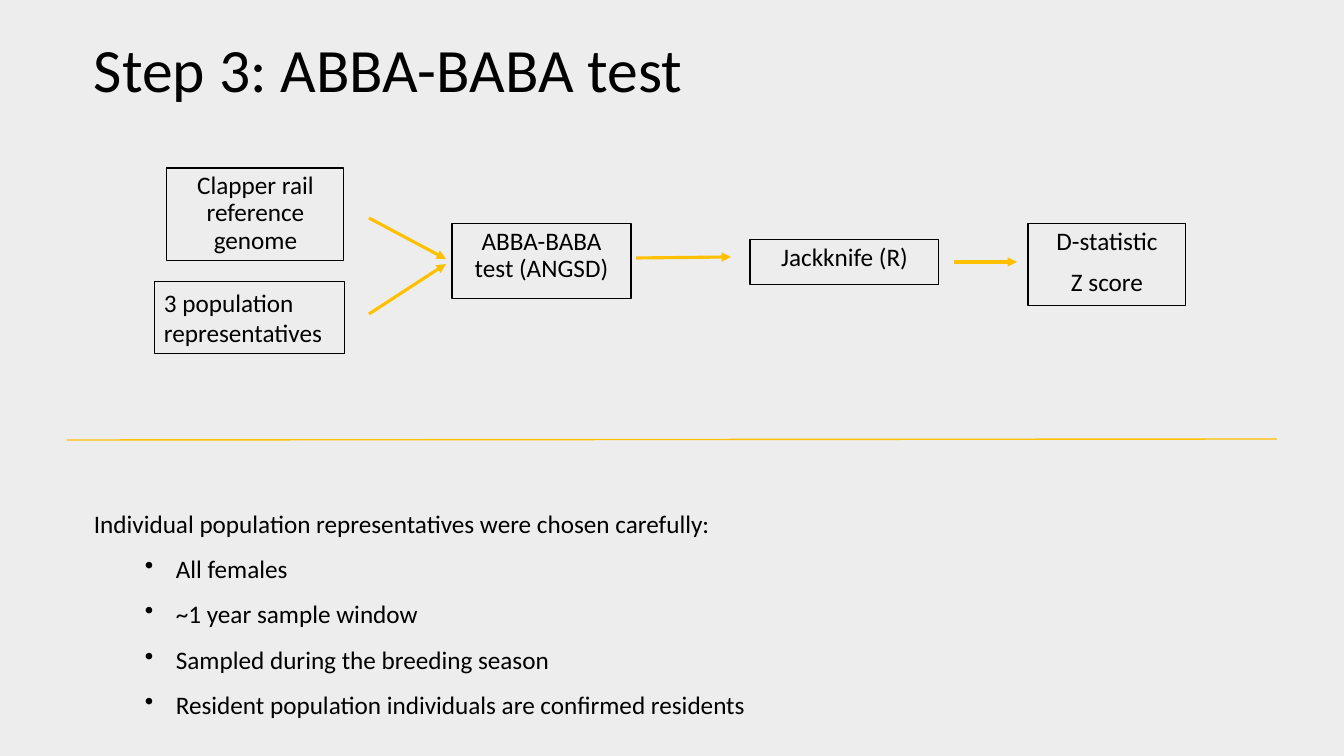
from dataclasses import dataclass

from lxml.etree import SubElement
from pptx import Presentation
from pptx.dml.color import RGBColor
from pptx.enum.shapes import MSO_CONNECTOR, MSO_SHAPE
from pptx.enum.text import MSO_ANCHOR, PP_ALIGN
from pptx.oxml.ns import qn
from pptx.util import Emu, Pt

EMU_PER_PIXEL = 914400 / 100.8


@dataclass(frozen=True)
class Theme:
    background: RGBColor = RGBColor(0xED, 0xED, 0xED)
    ink: RGBColor = RGBColor(0, 0, 0)
    accent: RGBColor = RGBColor(0xFF, 0xC0, 0x00)
    font: str = "Calibri"
    title_size: Pt = Pt(44)
    body_size: Pt = Pt(18)
    box_line: Pt = Pt(0.75)
    arrow_line: Pt = Pt(2.25)
    divider_line: Pt = Pt(1)


THEME = Theme()
CENTERED = {"alignment": PP_ALIGN.CENTER, "line_spacing": 0.9}
LEFT = {"alignment": PP_ALIGN.LEFT}

STEPS = [
    ((167, 168, 177, 93), ["Clapper rail reference genome"], CENTERED),
    ((452, 224, 179, 75), ["ABBA-BABA test (ANGSD)"], CENTERED),
    ((750, 240, 189, 45), ["Jackknife (R)"], CENTERED),
    ((1028, 224, 158, 82), ["D-statistic", "Z score"], CENTERED),
    ((154, 282, 191, 72), ["3 population representatives"], LEFT),
]
ARROWS = [
    ((369, 218), (446, 259)),
    ((369, 314), (446, 264)),
    ((636, 258), (731, 257)),
    ((954, 262), (1017, 262)),
]
CRITERIA = [
    "All females",
    "~1 year sample window",
    "Sampled during the breeding season",
    "Resident population individuals are confirmed residents",
]


def px(*lengths):
    return [Emu(round(length * EMU_PER_PIXEL)) for length in lengths]


def apply_format(target, values):
    for name, value in values.items():
        setattr(target, name, value)


def add_bullet(paragraph):
    margin, hanging = px(82, -31)
    properties = paragraph._p.get_or_add_pPr()
    properties.set("marL", str(margin))
    properties.set("indent", str(hanging))
    SubElement(properties, qn("a:buChar")).set("char", "•")


def write_paragraph(paragraph, text, paragraph_format, size=THEME.body_size):
    paragraph.text = text
    apply_format(paragraph, paragraph_format)
    for run in paragraph.runs:
        apply_format(run.font, {"name": THEME.font, "size": size})
        run.font.color.rgb = THEME.ink


def add_text(slide, bounds, anchor):
    frame = slide.shapes.add_textbox(*px(*bounds)).text_frame
    apply_format(frame, {"word_wrap": True, "vertical_anchor": anchor})
    return frame


def add_step(slide, bounds, lines, paragraph_format):
    shape = slide.shapes.add_shape(MSO_SHAPE.RECTANGLE, *px(*bounds))
    shape.shadow.inherit = False
    shape.fill.background()
    shape.line.color.rgb = THEME.ink
    shape.line.width = THEME.box_line
    frame = shape.text_frame
    apply_format(frame, {"word_wrap": True, "vertical_anchor": MSO_ANCHOR.TOP})
    for index, line in enumerate(lines):
        paragraph = frame.add_paragraph() if index else frame.paragraphs[0]
        write_paragraph(paragraph, line, paragraph_format)
        if index:
            paragraph.space_before = Pt(10)


def add_line(slide, start, end, width):
    connector = slide.shapes.add_connector(MSO_CONNECTOR.STRAIGHT, *px(*start, *end))
    connector.line.color.rgb = THEME.accent
    connector.line.width = width
    SubElement(connector._element.spPr, qn("a:effectLst"))
    return connector


def add_arrow(slide, start, end):
    connector = add_line(slide, start, end, THEME.arrow_line)
    SubElement(connector.line._get_or_add_ln(), qn("a:tailEnd")).set("type", "triangle")


def add_criteria(slide, bounds, heading, criteria):
    frame = add_text(slide, bounds, MSO_ANCHOR.TOP)
    write_paragraph(frame.paragraphs[0], heading, {"line_spacing": 1.5})
    for criterion in criteria:
        paragraph = frame.add_paragraph()
        add_bullet(paragraph)
        write_paragraph(paragraph, criterion, {"line_spacing": 1.5, "level": 1})


def main():
    presentation = Presentation()
    width, height = px(1344, 756)
    apply_format(presentation, {"slide_width": width, "slide_height": height})
    slide = presentation.slides.add_slide(presentation.slide_layouts[6])
    slide.background.fill.solid()
    slide.background.fill.fore_color.rgb = THEME.background

    title = add_text(slide, (84, 0, 1159, 146), MSO_ANCHOR.MIDDLE)
    write_paragraph(title.paragraphs[0], "Step 3: ABBA-BABA test",
                    {"line_spacing": 0.9}, THEME.title_size)
    for bounds, lines, paragraph_format in STEPS:
        add_step(slide, bounds, lines, paragraph_format)
    for start, end in ARROWS:
        add_arrow(slide, start, end)
    add_line(slide, (67, 440), (1277, 439), THEME.divider_line)
    add_criteria(slide, (84, 488, 1217, 235),
                 "Individual population representatives were chosen carefully:", CRITERIA)
    presentation.save("out.pptx")


if __name__ == "__main__":
    main()
